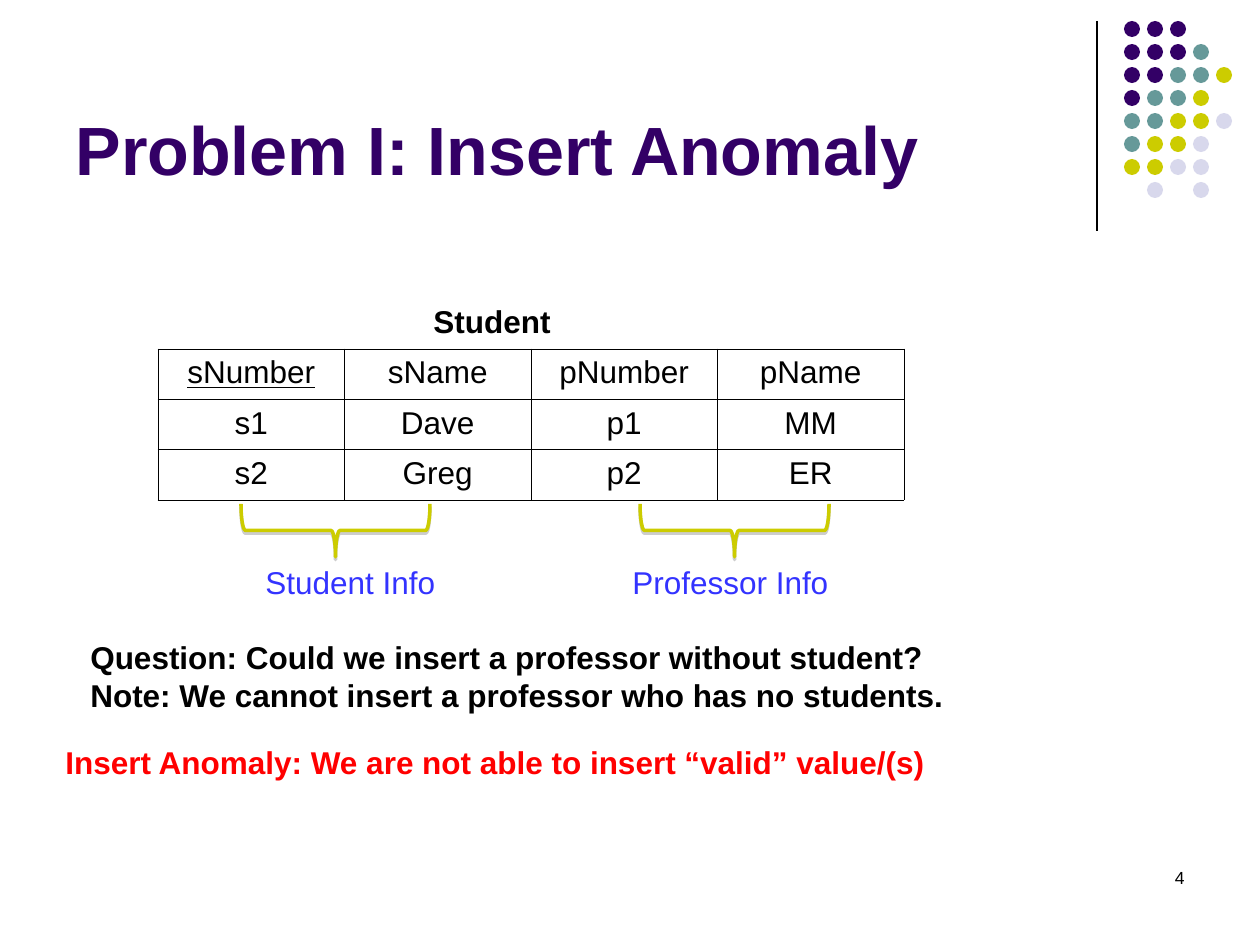
from dataclasses import dataclass

from lxml.etree import SubElement
from pptx import Presentation
from pptx.dml.color import RGBColor
from pptx.enum.shapes import MSO_CONNECTOR, MSO_SHAPE
from pptx.enum.text import MSO_ANCHOR, MSO_AUTO_SIZE, PP_ALIGN
from pptx.oxml import parse_xml
from pptx.oxml.ns import nsdecls, qn
from pptx.util import Emu, Pt


@dataclass(frozen=True)
class Theme:
    """Colours, type sizes and font of the slide."""
    font: str = "Arial"
    purple: str = "330066"
    teal: str = "669999"
    olive: str = "CCCC00"
    lilac: str = "D8D8EC"
    black: str = "000000"
    red: str = "FF0000"
    blue: str = "3333FF"
    title_size: int = 39
    body_size: int = 18
    number_size: int = 10


THEME = Theme()
DOT_COLOURS = {"P": THEME.purple, "T": THEME.teal, "O": THEME.olive, "L": THEME.lilac}
DOT_ROWS = ["PPP", "PPPT", "PPTTO", "PTTO", "TTOOL", "TOOL", "OOLL", " L L"]
STUDENT_ROWS = [
    ["sNumber", "sName", "pNumber", "pName"],
    ["s1", "Dave", "p1", "MM"],
    ["s2", "Greg", "p2", "ER"],
]


def px(length):
    """Turn pixels into EMU at 126 pixels to the inch."""
    return Emu(round(length * 914400 / 126))


def place(*box):
    """Turn a pixel box into EMU."""
    return [px(length) for length in box]


def style(para, size, colour, bold=False, align=PP_ALIGN.LEFT):
    """Set the font and alignment of a paragraph."""
    para.alignment = align
    para.font.name = THEME.font
    para.font.size = Pt(size)
    para.font.bold = bold
    para.font.color.rgb = RGBColor.from_string(colour)


def add_title(page, box, text):
    """Place the title in its placeholder."""
    title = page.shapes.title
    title.left, title.top, title.width, title.height = place(*box)
    title.text_frame.text = text
    title.text_frame.vertical_anchor = MSO_ANCHOR.BOTTOM
    style(title.text_frame.paragraphs[0], THEME.title_size, THEME.purple, bold=True)


def add_text(page, box, lines, colour, size=THEME.body_size, bold=False,
             align=PP_ALIGN.LEFT, wrap=False):
    """Place a text box with one paragraph for each line."""
    frame = page.shapes.add_textbox(*place(*box)).text_frame
    frame.word_wrap = wrap
    frame.auto_size = MSO_AUTO_SIZE.NONE if wrap else MSO_AUTO_SIZE.SHAPE_TO_FIT_TEXT
    frame.text = "\n".join(lines)
    for para in frame.paragraphs:
        style(para, size, colour, bold, align)


def add_dot_corner(page, left, top):
    """Draw the vertical rule and the grid of coloured dots beside it."""
    rule = page.shapes.add_connector(
        MSO_CONNECTOR.STRAIGHT, *place(left, top, left, top + 210))
    rule.line.width = Pt(0.75)
    rule.line.color.rgb = RGBColor.from_string(THEME.black)
    SubElement(rule._element.spPr, qn("a:effectLst"))
    pitch, size = 23, 16
    group = page.shapes.add_group_shape()
    for row, keys in enumerate(DOT_ROWS):
        for column, key in enumerate(keys):
            if key == " ":
                continue
            dot = group.shapes.add_shape(MSO_SHAPE.OVAL, *place(
                left + 27 + column * pitch, top + row * pitch, size, size))
            dot.shadow.inherit = False
            dot.fill.solid()
            dot.fill.fore_color.rgb = RGBColor.from_string(DOT_COLOURS[key])
            dot.line.fill.background()


def add_borders(cell):
    """Give a cell thin black lines on all four sides."""
    properties = cell._tc.get_or_add_tcPr()
    for side in ("lnL", "lnR", "lnT", "lnB"):
        properties.append(parse_xml(
            f'<a:{side} {nsdecls("a")} w="{Pt(0.45)}"><a:solidFill>'
            f'<a:srgbClr val="{THEME.black}"/></a:solidFill></a:{side}>'))


def add_student_table(page, box, rows):
    """Place the student table with equal rows and columns."""
    table = page.shapes.add_table(len(rows), len(rows[0]), *place(*box)).table
    table.first_row = table.horz_banding = False
    for row, texts in enumerate(rows):
        for column, text in enumerate(texts):
            cell = table.cell(row, column)
            cell.text = text
            style(cell.text_frame.paragraphs[0], THEME.body_size, THEME.black,
                  align=PP_ALIGN.CENTER)
            add_borders(cell)
            cell.fill.background()
    table.cell(0, 0).text_frame.paragraphs[0].font.underline = True


def add_brace(page, box):
    """Draw a brace that points down, with a soft shadow below it."""
    left, top, width, height = box
    brace = page.shapes.add_shape(MSO_SHAPE.RIGHT_BRACE, *place(
        left + (width - height) / 2, top + (height - width) / 2, height, width))
    brace.rotation = 90
    brace.fill.background()
    brace.line.width = Pt(2)
    brace.line.color.rgb = RGBColor.from_string(THEME.olive)
    brace._element.spPr.append(parse_xml(
        f'<a:effectLst {nsdecls("a")}><a:outerShdw blurRad="0" dist="{Pt(1.6)}" '
        'dir="5400000" rotWithShape="0"><a:srgbClr val="808080">'
        '<a:alpha val="38000"/></a:srgbClr></a:outerShdw></a:effectLst>'))


def main():
    """Build the slide and save the deck."""
    deck = Presentation()
    deck.slide_width, deck.slide_height = place(1260, 945)
    page = deck.slides.add_slide(deck.slide_layouts[5])
    add_dot_corner(page, 1097, 21)
    add_title(page, (63, 16, 1040, 179), "Problem I: Insert Anomaly")
    add_student_table(page, (158, 349, 746, 151), STUDENT_ROWS)
    add_text(page, (421, 296, 142, 50), ["Student"], THEME.black, bold=True)
    add_text(page, (78, 632, 879, 88), [
        "Question: Could we insert a professor without student?",
        "Note: We cannot insert a professor who has no students.",
    ], THEME.black, bold=True)
    add_text(page, (53, 737, 886, 50),
             ["Insert Anomaly: We are not able to insert “valid” value/(s)"],
             THEME.red, bold=True)
    for left in (241, 640):
        add_brace(page, (left, 504, 189, 53))
    add_text(page, (253, 557, 196, 50), ["Student Info"], THEME.blue)
    add_text(page, (620, 557, 224, 50), ["Professor Info"], THEME.blue)
    add_text(page, (903, 861, 294, 63), ["4"], THEME.black, THEME.number_size,
             align=PP_ALIGN.RIGHT, wrap=True)
    deck.save("out.pptx")


if __name__ == "__main__":
    main()
